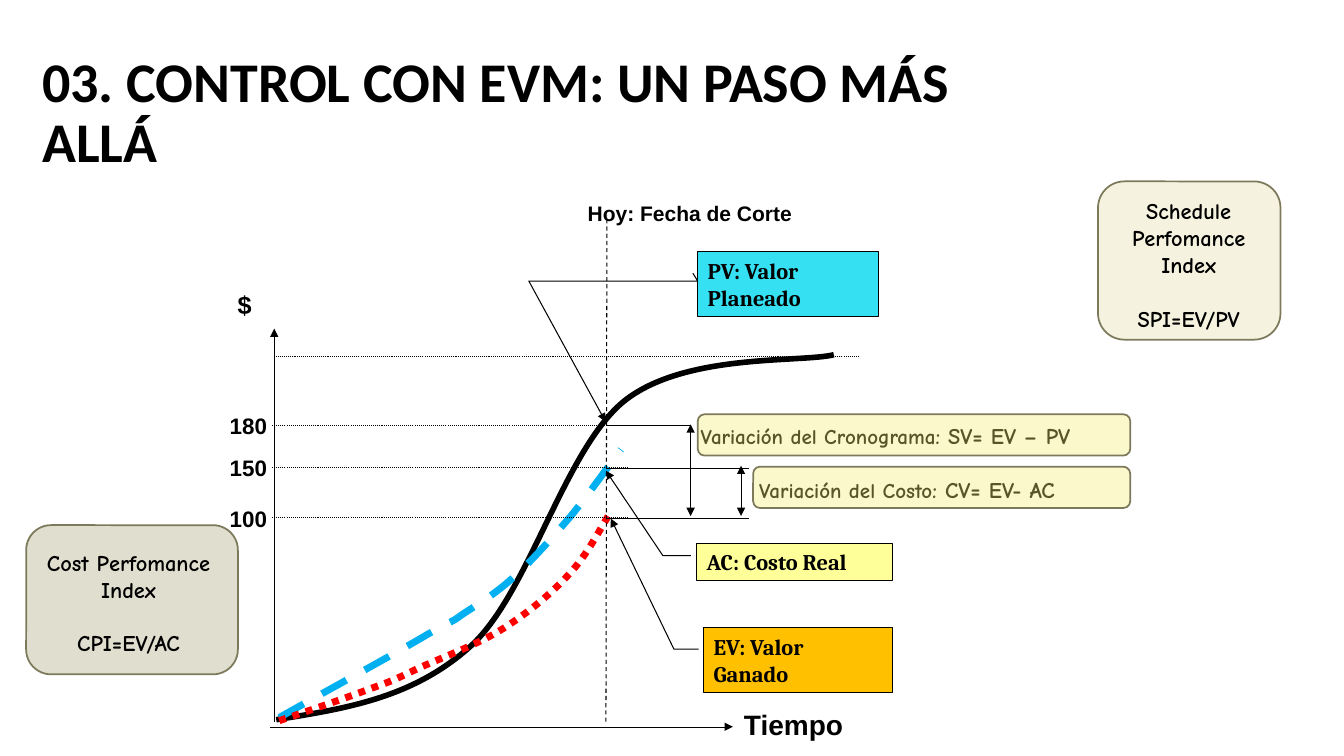
from typing import NamedTuple

from lxml import etree
from pptx import Presentation
from pptx import util as u
from pptx.dml.color import RGBColor
from pptx.enum import dml, shapes, text
from pptx.oxml.ns import qn

DASH = dml.MSO_LINE.DASH
DOT = dml.MSO_LINE.ROUND_DOT
BLACK = "000000"
ROUND = shapes.MSO_SHAPE.ROUNDED_RECTANGLE
ELBOW = shapes.MSO_SHAPE.LINE_CALLOUT_2
BEND = shapes.MSO_SHAPE.LINE_CALLOUT_3

Box = tuple[float, float, float, float]
Point = tuple[float, float]


class Run(NamedTuple):
    words: str
    size: float
    font: str


class Label(NamedTuple):
    box: Box
    run: Run


class Panel(NamedTuple):
    box: Box
    color: str


class Note(NamedTuple):
    """A callout whose leader points at a curve."""
    box: Box
    kind: shapes.MSO_SHAPE
    color: str
    words: str
    leader: tuple[float, ...]


class Line(NamedTuple):
    start: Point
    end: Point
    width: float = 0.75
    dash: dml.MSO_LINE | None = None
    ends: tuple[str, ...] = ()


class Curve(NamedTuple):
    """Bezier points: a start, then two handles and an end per segment."""
    points: list[Point]
    color: str
    width: float
    dash: dml.MSO_LINE | None = None


class Index(NamedTuple):
    box: Box
    name: str
    rule: str


PANELS = [Panel((0.26, 5.21, 2.1, 1.48), "A9A57C"),
          Panel((10.89, 1.8, 1.81, 1.57), "E4E0A7")]
BANDS = [Panel((6.92, 4.11, 4.29, 0.41), "F4EE70"),
         Panel((7.47, 4.63, 3.74, 0.41), "F4EE70")]
GAPS = [
    ((6.85, 4.14, 5.25, 0.37), "Variación del Cronograma", ": SV= EV – PV"),
    ((7.43, 4.67, 4.67, 0.37), "Variación del Costo", ": CV= EV- AC"),
]
INDEXES = [
    Index((0.27, 5.4, 2.01, 1.18), "Cost Perfomance Index", "CPI=EV/AC"),
    Index((11.07, 1.91, 1.44, 1.45), "Schedule Perfomance Index", "SPI=EV/PV"),
]
NOTES = [
    Note((6.92, 2.5, 1.79, 0.64), BEND, "34E0F2", "PV: Valor Planeado",
         (0.33, -0.027, 0.451, 0, 0.451, -0.936, 2.629, -0.511)),
    Note((6.98, 6.23, 1.87, 0.64), ELBOW, "FFC000", "EV: Valor Ganado",
         (0.33, -0.027, 0.33, -0.158, -1.695, -0.493)),
    Note((6.91, 5.39, 1.94, 0.37), ELBOW, "FFFF99", "AC: Costo Real",
         (0.33, -0.03, 0.33, -0.173, -1.945, -0.464)),
]
PLANNED = Curve([(2.74, 7.14), (3.42, 7.03), (4.1, 6.93), (4.68, 6.4),
                 (5.25, 5.87), (5.6, 4.46), (6.19, 3.98),
                 (6.79, 3.5), (7.94, 3.6), (8.27, 3.52)], BLACK, 4)
ACTUAL = Curve([(2.77, 7.12), (3.01, 6.98), (3.93, 6.48), (4.23, 6.3),
                (4.53, 6.13), (4.44, 6.2), (4.58, 6.1),
                (4.73, 6), (4.92, 5.89), (5.1, 5.72),
                (5.28, 5.56), (5.49, 5.32), (5.67, 5.11),
                (5.84, 4.9), (6.06, 4.59), (6.16, 4.46)], "00B0F0", 5, DASH)
EARNED = Curve([(2.77, 7.15), (2.92, 7.1), (3.45, 6.92), (3.68, 6.83),
                (3.91, 6.75), (3.94, 6.73), (4.15, 6.63),
                (4.37, 6.53), (4.75, 6.39), (5, 6.23),
                (5.25, 6.07), (5.48, 5.88), (5.65, 5.69),
                (5.83, 5.5), (5.96, 5.23), (6.04, 5.11)], "FF0000", 5, DOT)
BOTH = ("headEnd", "tailEnd")
TAIL = ("tailEnd",)
LINES = [
    Line((2.72, 7.16), (2.72, 3.26), ends=TAIL),
    Line((8.52, 3.54), (2.72, 3.54), dash=DOT),
    Line((6.01, 7.16), (6.02, 2.14), dash=DASH),
    Line((6.85, 4.21), (6.85, 5.12), ends=BOTH),
    Line((7.35, 4.62), (7.35, 5.12), ends=BOTH),
    Line((2.68, 7.21), (7.27, 7.21), 0.25, ends=TAIL),
    Line((6.02, 4.22), (6.85, 4.22), 0.25),
    Line((6.02, 4.64), (7.43, 4.64), 0.25),
    Line((6.02, 5.14), (7.43, 5.14), 0.25),
    *(Line((6.23, y), (2.69, y), dash=DOT) for y in (4.22, 4.64, 5.13)),
]
LABELS = [
    Label((7.28, 6.97, 1.19, 0.43), Run("Tiempo", 20, "Arial")),
    Label((2.26, 2.82, 0.34, 0.4), Run("$", 18, "Arial")),
    Label((5.73, 1.94, 2.25, 0.35), Run("Hoy: Fecha de Corte", 15, "Arial")),
    *(Label((2.18, y, 0.58, 0.37), Run(cost, 16, "Arial"))
      for cost, y in (("100", 4.96), ("150", 4.46), ("180", 4.04))),
]

deck = Presentation()
deck.slide_width, deck.slide_height = u.Inches(13.33), u.Inches(7.5)
slide = deck.slides.add_slide(deck.slide_layouts[6])


def paint(target, color: str) -> None:
    """Give a fill or a font one solid colour."""
    if hasattr(target, "solid"):
        target.solid()
        target.fore_color.rgb = RGBColor.from_string(color)
    else:
        target.color.rgb = RGBColor.from_string(color)


def stroke(shape, color: str, width: float, dash=None, ends=()) -> None:
    paint(shape.line.fill, color)
    shape.line.width = u.Pt(width)
    if dash is not None:
        shape.line.dash_style = dash
    edge = shape.line.fill._xPr
    for end in ends:
        etree.SubElement(edge, qn(f"a:{end}"), type="triangle")


def write(para, run: Run) -> None:
    part = para.add_run()
    part.text = run.words
    part.font.size, part.font.name, part.font.bold = u.Pt(run.size), run.font, True
    paint(part.font, BLACK)


def draw_text(box: Box, wrap: bool = True):
    frame = slide.shapes.add_textbox(*map(u.Inches, box)).text_frame
    frame.word_wrap = wrap
    return frame


def draw_shape(kind: shapes.MSO_SHAPE, box: Box, color: str):
    shape = slide.shapes.add_shape(kind, *map(u.Inches, box))
    shape.shadow.inherit = False
    paint(shape.fill, color)
    return shape


def draw_panel(panel: Panel) -> None:
    shape = draw_shape(ROUND, panel.box, panel.color)
    tint = shape.fill._xPr.find(qn("a:solidFill"))[0]
    etree.SubElement(tint, qn("a:alpha"), val="36000")
    stroke(shape, "7D7A5C", 1.25)


def draw_note(note: Note) -> None:
    shape = draw_shape(note.kind, note.box, note.color)
    for i, share in enumerate(note.leader):
        shape.adjustments[i] = share
    stroke(shape, BLACK, 0.75, ends=TAIL)
    frame = shape.text_frame
    frame.word_wrap, frame.vertical_anchor = True, text.MSO_ANCHOR.TOP
    frame.paragraphs[0].alignment = text.PP_ALIGN.LEFT
    write(frame.paragraphs[0], Run(note.words, 16, "Cambria"))


def draw_line(line: Line) -> None:
    shape = slide.shapes.add_connector(
        shapes.MSO_CONNECTOR.STRAIGHT, *map(u.Inches, line.start + line.end))
    stroke(shape, BLACK, line.width, line.dash, line.ends)
    etree.SubElement(shape._element.spPr, qn("a:effectLst"))


def draw_curve(curve: Curve) -> None:
    dots = [(u.Inches(x), u.Inches(y)) for x, y in curve.points]
    pen = slide.shapes.build_freeform(*dots[0])
    pen.add_line_segments(dots[1:], close=False)
    shape = pen.convert_to_shape()
    legs = list(shape._element.iter(qn("a:lnTo")))
    for i in range(0, len(legs), 3):
        bend = etree.SubElement(legs[i].getparent(), qn("a:cubicBezTo"))
        for leg in legs[i:i + 3]:
            bend.append(leg[0])
            leg.getparent().remove(leg)
    shape.shadow.inherit = False
    shape.fill.background()
    stroke(shape, curve.color, curve.width, curve.dash)


def draw_index(index: Index) -> None:
    frame = draw_text(index.box)
    rule = frame.add_paragraph()
    rule.space_before = u.Pt(19)
    for para, words in zip(frame.paragraphs, (index.name, index.rule)):
        para.alignment = text.PP_ALIGN.CENTER
        write(para, Run(words, 16, "Comic Neue"))


for panel in PANELS:
    draw_panel(panel)
for box, name, rule in GAPS:
    para = draw_text(box).paragraphs[0]
    write(para, Run(name, 15, "Comic Neue"))
    write(para, Run(rule, 16, "Comic Neue"))
for curve in (PLANNED, ACTUAL, EARNED):
    draw_curve(curve)
for note in NOTES:
    draw_note(note)
for label in LABELS:
    write(draw_text(label.box, False).paragraphs[0], label.run)
for index in INDEXES:
    draw_index(index)
for line in LINES:
    draw_line(line)
for band in BANDS:
    draw_panel(band)

title = draw_text((0.32, 0.41, 10.39, 1.45))
title.vertical_anchor = text.MSO_ANCHOR.MIDDLE
title.paragraphs[0].line_spacing = 0.9
write(title.paragraphs[0], Run("03. CONTROL CON EVM: UN PASO MÁS ALLÁ", 40, "Calibri"))

deck.save("out.pptx")
